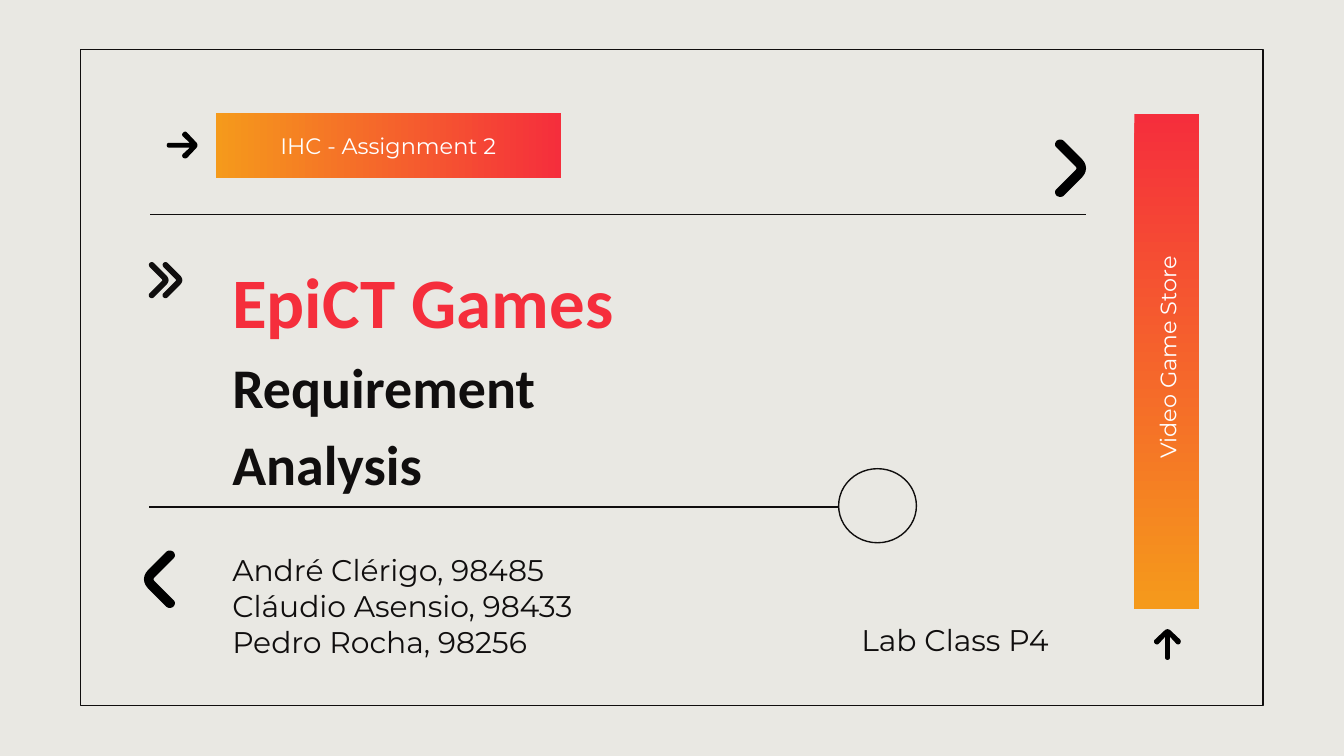
from dataclasses import dataclass

from lxml import etree
from pptx import Presentation
from pptx.dml.color import RGBColor
from pptx.enum.shapes import MSO_CONNECTOR, MSO_SHAPE
from pptx.enum.text import MSO_ANCHOR, MSO_AUTO_SIZE, PP_ALIGN
from pptx.oxml.ns import qn
from pptx.util import Cm, Pt

RECT, OVAL = MSO_SHAPE.RECTANGLE, MSO_SHAPE.OVAL
STRAIGHT = MSO_CONNECTOR.STRAIGHT
LEFT, CENTER, RIGHT = PP_ALIGN.LEFT, PP_ALIGN.CENTER, PP_ALIGN.RIGHT
MIDDLE, NO_FIT = MSO_ANCHOR.MIDDLE, MSO_AUTO_SIZE.NONE

# Icon outlines in millimetres: a pair is a corner, six numbers are a cubic curve.
CHEVRON = [
    (1, 10.8), (1.3, 10.8, 1.5, 10.7, 1.6, 10.6), (5.1, 7.1),
    (6.1, 6.1, 6.1, 4.7, 5.1, 3.7), (1.6, 0.2), (1.3, -0.1, 0.7, -0.1, 0.3, 0.2),
    (-0.1, 0.6, -0.1, 1.2, 0.3, 1.5), (3.8, 5), (4.1, 5.2, 4.1, 5.6, 3.8, 5.8),
    (0.3, 9.3), (-0.1, 9.6, -0.1, 10.2, 0.3, 10.6), (0.5, 10.7, 0.7, 10.8, 1, 10.8),
]
THIN_CHEVRON = [
    (0.3, 6.3), (0.2, 6.3, 0, 6.2, 0, 6.1), (0, 6, 0, 5.9, 0.1, 5.8), (2.4, 3.5),
    (2.6, 3.3, 2.6, 3, 2.4, 2.8), (0.1, 0.5), (0, 0.4, 0, 0.1, 0.1, 0.1),
    (0.2, 0, 0.4, 0, 0.5, 0.1), (2.9, 2.5), (3.3, 2.9, 3.3, 3.4, 2.9, 3.8),
    (0.5, 6.2), (0.5, 6.2, 0.4, 6.3, 0.3, 6.3),
]
ARROW = [
    (3.6, 0), (3.7, 0, 3.8, 0.1, 3.9, 0.2), (5.6, 2), (5.9, 2.3, 5.9, 2.8, 5.6, 3.1),
    (3.9, 4.9), (3.7, 5.1, 3.4, 5.1, 3.1, 4.9), (2.9, 4.7, 2.9, 4.4, 3.1, 4.2),
    (4.4, 3), (0.4, 3), (-0.1, 3, -0.1, 2.1, 0.4, 2.1), (4.4, 2.1), (3.1, 0.9),
    (2.9, 0.7, 2.9, 0.4, 3.1, 0.2), (3.3, 0, 3.4, 0, 3.6, 0),
]
CURVE_STEPS = 6


@dataclass(frozen=True)
class Theme:
    paper: RGBColor = RGBColor(0xE9, 0xE8, 0xE3)
    ink: RGBColor = RGBColor(0x10, 0x0E, 0x0E)
    black: RGBColor = RGBColor(0, 0, 0)
    white: RGBColor = RGBColor(0xFF, 0xFF, 0xFF)
    red: RGBColor = RGBColor(0xF5, 0x2E, 0x3C)
    orange: RGBColor = RGBColor(0xF5, 0x9A, 0x1B)
    heading_font: str = "Calibri"
    body_font: str = "Montserrat"
    title_size: Pt = Pt(38)
    subtitle_size: Pt = Pt(30)
    body_size: Pt = Pt(16)
    label_size: Pt = Pt(12)
    hairline: Pt = Pt(0.75)
    icon_line: Pt = Pt(1.5)


def flatten(outline):
    """Turn an outline with cubic curves into corner points."""
    points = [outline[0]]
    for step in outline[1:]:
        if len(step) == 2:
            points.append(step)
            continue
        controls = (points[-1], step[:2], step[2:4], step[4:])
        for i in range(1, CURVE_STEPS + 1):
            t = i / CURVE_STEPS
            weights = ((1 - t) ** 3, 3 * t * (1 - t) ** 2, 3 * t * t * (1 - t), t ** 3)
            points.append(tuple(sum(w * c[axis] for w, c in zip(weights, controls))
                                for axis in (0, 1)))
    return points


class SlideBuilder:
    def __init__(self, slide, theme):
        self.slide, self.theme = slide, theme
        slide.background.fill.solid()
        slide.background.fill.fore_color.rgb = theme.paper

    def outline(self, kind, *box):
        s = self.slide.shapes.add_shape(kind, *map(Cm, box))
        s.shadow.inherit = False
        s.fill.background()
        s.line.color.rgb = self.theme.ink
        s.line.width = self.theme.hairline
        return s

    def gradient_bar(self, *box, rotation=0):
        s = self.outline(RECT, *box)
        s.line.fill.background()
        s.fill.gradient()
        s.fill.gradient_angle = 270
        for stop, color in zip(s.fill.gradient_stops, (self.theme.red, self.theme.orange)):
            stop.color.rgb = color
        s.rotation = rotation

    def rule(self, left, right, y):
        s = self.slide.shapes.add_connector(STRAIGHT, Cm(left), Cm(y), Cm(right), Cm(y))
        s.line.color.rgb = self.theme.ink
        s.line.width = self.theme.hairline
        etree.SubElement(s._element.spPr, qn("a:effectLst"))

    def icon(self, outline, left, top, color, rotation=0, line=None):
        points = [(Cm(x / 10), Cm(y / 10)) for x, y in flatten(outline)]
        builder = self.slide.shapes.build_freeform(*points[0])
        builder.add_line_segments(points[1:], close=True)
        s = builder.convert_to_shape(Cm(left), Cm(top))
        s.shadow.inherit = False
        s.fill.solid()
        s.fill.fore_color.rgb = color
        if line:
            s.line.color.rgb = color
            s.line.width = line
        else:
            s.line.fill.background()
        s.rotation = rotation

    def set_text(self, s, box, lines, font, align=LEFT, spacing=1.0, bold=False):
        """Place a text shape and fill it with (text, size, color) lines."""
        s.left, s.top, s.width, s.height = map(Cm, box)
        tf = s.text_frame
        tf.word_wrap, tf.auto_size, tf.vertical_anchor = True, NO_FIT, MIDDLE
        tf.margin_left = tf.margin_right = tf.margin_top = tf.margin_bottom = Cm(0.25)
        tf.text = "\n".join(text for text, _, _ in lines)
        for p, (_, size, color) in zip(tf.paragraphs, lines):
            p.alignment, p.line_spacing = align, spacing
            p.space_before = Pt(0)
            for r in p.runs:
                r.font.name, r.font.size, r.font.bold = font, size, bold
                r.font.color.rgb = color

    def title(self, box, lines):
        self.set_text(self.slide.shapes.title, box, lines, self.theme.heading_font,
                      spacing=1.15, bold=True)

    def body(self, box, texts):
        lines = [(text, self.theme.body_size, self.theme.ink) for text in texts]
        self.set_text(self.slide.placeholders[1], box, lines, self.theme.body_font)

    def label(self, box, text, size, color, align=CENTER, rotation=0):
        s = self.slide.shapes.add_textbox(*map(Cm, box))
        self.set_text(s, box, [(text, size, color)], self.theme.body_font, align)
        s.rotation = rotation


def main():
    prs = Presentation()
    prs.slide_width, prs.slide_height = Cm(25.4), Cm(14.29)
    theme = Theme()
    cover = SlideBuilder(prs.slides.add_slide(prs.slide_layouts[0]), theme)

    cover.outline(RECT, 1.52, 0.94, 22.35, 12.4)
    cover.gradient_bar(6.73, -0.51, 1.22, 6.53, rotation=90)
    cover.gradient_bar(21.44, 2.16, 1.22, 9.35)

    cover.title((4.14, 4.34, 17.09, 5.33), [
        ("EpiCT Games", theme.title_size, theme.red),
        ("Requirement", theme.subtitle_size, theme.ink),
        ("Analysis", theme.subtitle_size, theme.ink),
    ])
    cover.body((4.14, 10.41, 6.96, 2.08), [
        "André Clérigo, 98485", "Cláudio Asensio, 98433", "Pedro Rocha, 98256"])
    cover.label((4.95, 2.44, 4.78, 0.61), "IHC - Assignment 2",
                theme.label_size, theme.white)
    cover.label((18.75, 6.45, 6.63, 0.61), "Video Game Store",
                theme.label_size, theme.white, rotation=270)
    cover.label((13.11, 11.71, 6.96, 0.76), "Lab Class P4",
                theme.body_size, theme.ink, RIGHT)

    cover.rule(2.84, 20.52, 4.06)
    cover.rule(2.82, 15.85, 9.58)
    cover.outline(OVAL, 15.85, 8.86, 1.47, 1.4)

    cover.icon(CHEVRON, 19.94, 2.64, theme.black)
    cover.icon(CHEVRON, 2.72, 10.41, theme.black, rotation=180)
    cover.icon(ARROW, 3.15, 2.49, theme.black)
    cover.icon(ARROW, 21.77, 11.93, theme.black, rotation=270)
    for left in (2.84, 3.1):
        cover.icon(THIN_CHEVRON, left, 4.98, theme.ink, line=theme.icon_line)

    prs.save("out.pptx")


if __name__ == "__main__":
    main()
